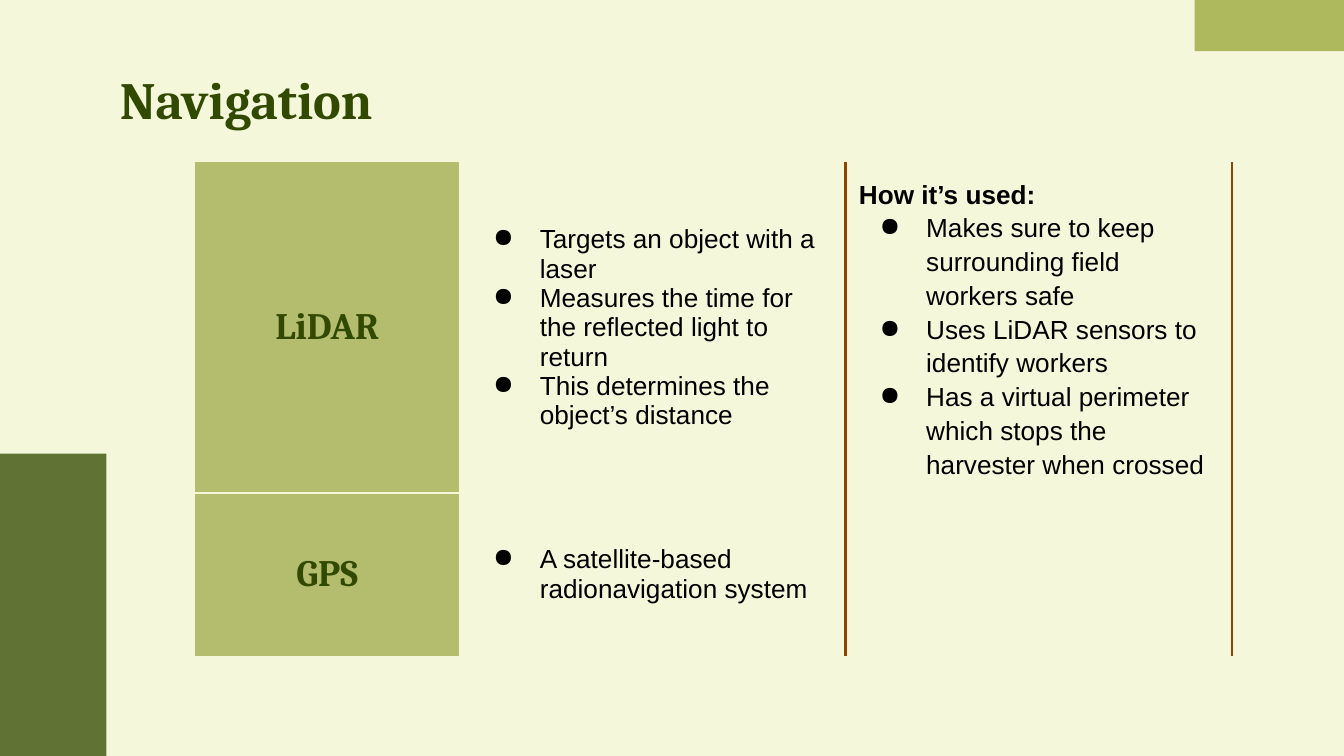
from lxml.etree import SubElement
from pptx import Presentation
from pptx.dml.color import RGBColor
from pptx.enum.shapes import MSO_SHAPE
from pptx.enum.text import MSO_ANCHOR, PP_ALIGN
from pptx.oxml import parse_xml
from pptx.oxml.ns import nsdecls, qn
from pptx.util import Pt

CREAM = RGBColor(0xF4, 0xF7, 0xDA)
FOREST = RGBColor(0x32, 0x4A, 0x00)
OLIVE = RGBColor(0x7C, 0x8C, 0x03)
SAGE = RGBColor(0xB4, 0xBD, 0x6E)
RUST = RGBColor(0x8C, 0x43, 0x03)
BLACK = RGBColor(0, 0, 0)

# Content
TITLE = "Navigation"
USE_HEADING = "How it’s used:"
TECHNOLOGIES = [
    {
        "name": "LiDAR",
        "facts": [
            "Targets an object with a laser",
            "Measures the time for the reflected light to return",
            "This determines the object’s distance",
        ],
        "uses": [
            "Makes sure to keep surrounding field workers safe",
            "Uses LiDAR sensors to identify workers",
            "Has a virtual perimeter which stops the harvester when crossed",
        ],
    },
    {"name": "GPS", "facts": ["A satellite-based radionavigation system"], "uses": []},
]

# Layout, in points
SLIDE_SIZE = (720, 405)
TITLE_BOX = {"left": 57, "top": 28.8, "width": 606, "height": 45}
TABLE_ORIGIN = (104.5, 87)
COLUMN_WIDTHS = (141.5, 207, 207)
ROW_HEIGHTS = (177, 87)
BLOCKS = [  # left, top, width, height, colour, opacity in percent
    (0, 243, 57, 162, FOREST, 76),
    (640, 0, 80, 27.5, OLIVE, 58),
]

# Formats
TITLE_FONT = {"name": "Cambria", "size": Pt(28), "bold": True}
NAME_FONT = {"name": "Cambria", "size": Pt(20), "bold": True}
BODY_FONT = {"name": "Arial", "size": Pt(14), "bold": False}
HEADING_FONT = {**BODY_FONT, "bold": True}
INSETS = {side: Pt(7.2) for side in
          ("margin_left", "margin_right", "margin_top", "margin_bottom")}


def apply(target, values):
    for attribute, value in values.items():
        setattr(target, attribute, value)


def write(paragraph, text, font, color):
    run = paragraph.add_run()
    run.text = text
    apply(run.font, font)
    run.font.color.rgb = color


def add_bullet(paragraph):
    properties = paragraph._p.get_or_add_pPr()
    properties.set("marL", str(Pt(36)))
    properties.set("indent", str(-Pt(25)))
    bullet_color = SubElement(properties, qn("a:buClr"))
    SubElement(bullet_color, qn("a:srgbClr"), val=str(BLACK))
    SubElement(properties, qn("a:buChar"), char="●")


def write_list(cell, items, heading=None, spacing=None):
    lines = ([(heading, False)] if heading else []) + [(item, True) for item in items]
    for index, (text, bulleted) in enumerate(lines):
        frame = cell.text_frame
        paragraph = frame.add_paragraph() if index else frame.paragraphs[0]
        if bulleted:
            add_bullet(paragraph)
        if spacing:
            paragraph.line_spacing = spacing
        write(paragraph, text, BODY_FONT if bulleted else HEADING_FONT, BLACK)


def set_borders(cell, colors):
    properties = cell._tc.get_or_add_tcPr()
    for index, side in enumerate("LRTB"):
        color = colors.get(side)
        paint = (f'<a:solidFill><a:srgbClr val="{color}"/></a:solidFill>'
                 if color else "<a:noFill/>")
        border = f'<a:ln{side} {nsdecls("a")} w="{Pt(1.5)}">{paint}</a:ln{side}>'
        properties.insert(index, parse_xml(border))


presentation = Presentation()
presentation.slide_width, presentation.slide_height = map(Pt, SLIDE_SIZE)
slide = presentation.slides.add_slide(presentation.slide_layouts[5])

# Background and corner blocks
slide.background.fill.solid()
slide.background.fill.fore_color.rgb = CREAM
for *box, color, opacity in BLOCKS:
    block = slide.shapes.add_shape(MSO_SHAPE.RECTANGLE, *map(Pt, box))
    block.shadow.inherit = False
    block.line.fill.background()
    block.fill.solid()
    block.fill.fore_color.rgb = color
    tint = block.fill._xPr.find(qn("a:solidFill"))[0]
    SubElement(tint, qn("a:alpha"), val=str(opacity * 1000))

# Title
title = slide.shapes.title
apply(title, {edge: Pt(length) for edge, length in TITLE_BOX.items()})
apply(title.text_frame, {**INSETS, "vertical_anchor": MSO_ANCHOR.TOP, "word_wrap": True})
title_line = title.text_frame.paragraphs[0]
title_line.alignment = PP_ALIGN.LEFT
write(title_line, TITLE, TITLE_FONT, FOREST)

# Table grid
table = slide.shapes.add_table(
    len(TECHNOLOGIES), len(COLUMN_WIDTHS), *map(Pt, TABLE_ORIGIN),
    Pt(sum(COLUMN_WIDTHS)), Pt(sum(ROW_HEIGHTS))).table
apply(table, {"first_row": False, "horz_banding": False})
for column, width in zip(table.columns, COLUMN_WIDTHS):
    column.width = Pt(width)
for row, height in zip(table.rows, ROW_HEIGHTS):
    row.height = Pt(height)

# Table cells
for index, (row, technology) in enumerate(zip(table.rows, TECHNOLOGIES)):
    name_cell, facts_cell, uses_cell = row.cells
    for cell in row.cells:
        apply(cell, {**INSETS, "vertical_anchor": MSO_ANCHOR.MIDDLE})
        cell.fill.background()
    name_cell.fill.solid()
    name_cell.fill.fore_color.rgb = SAGE
    name_line = name_cell.text_frame.paragraphs[0]
    name_line.alignment = PP_ALIGN.CENTER
    write(name_line, technology["name"], NAME_FONT, FOREST)
    write_list(facts_cell, technology["facts"])
    if technology["uses"]:
        write_list(uses_cell, technology["uses"], USE_HEADING, 1.15)
    set_borders(name_cell, {"T" if index else "B": CREAM})
    set_borders(facts_cell, {"R": RUST})
    set_borders(uses_cell, {"L": RUST, "R": RUST})

presentation.save("out.pptx")
